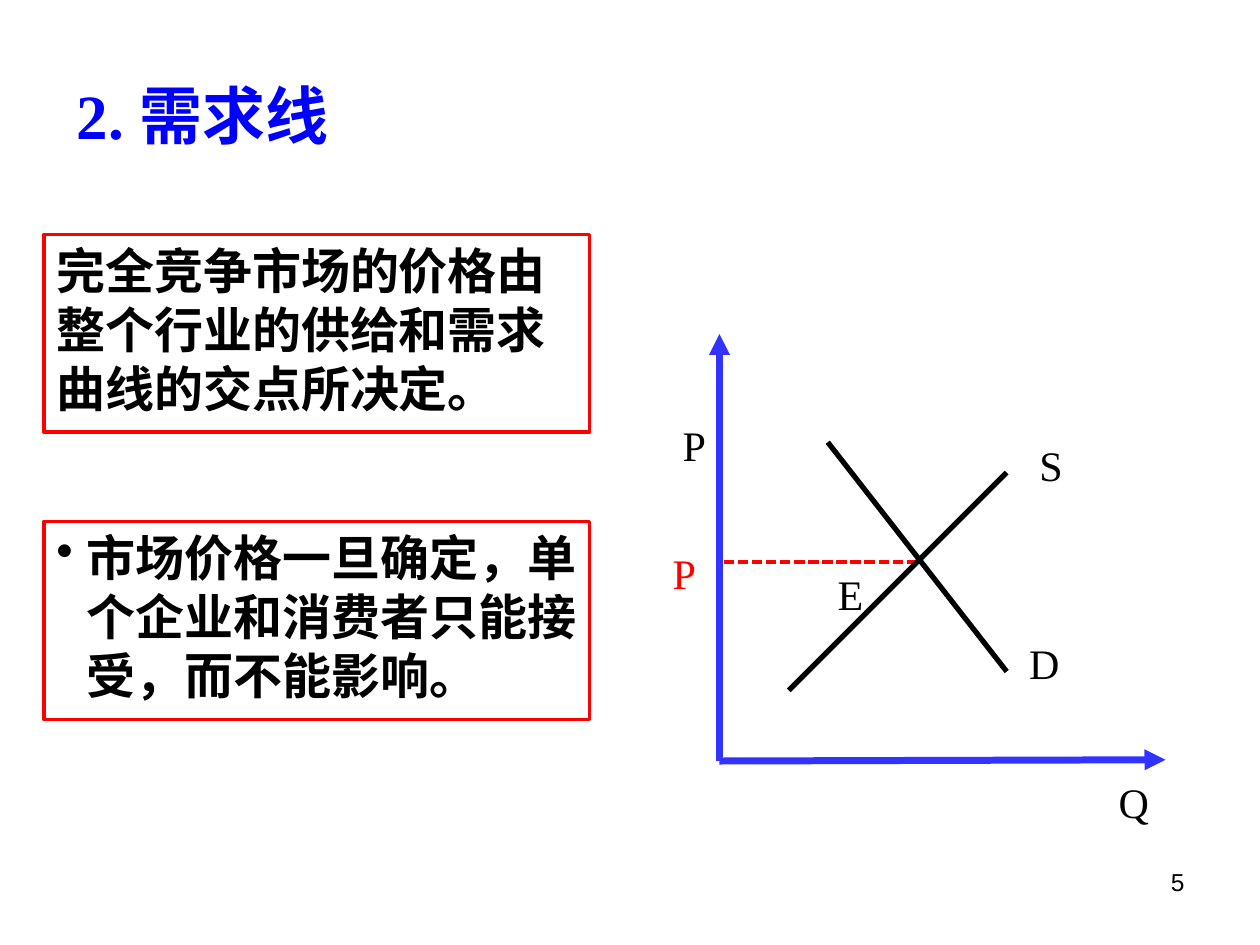
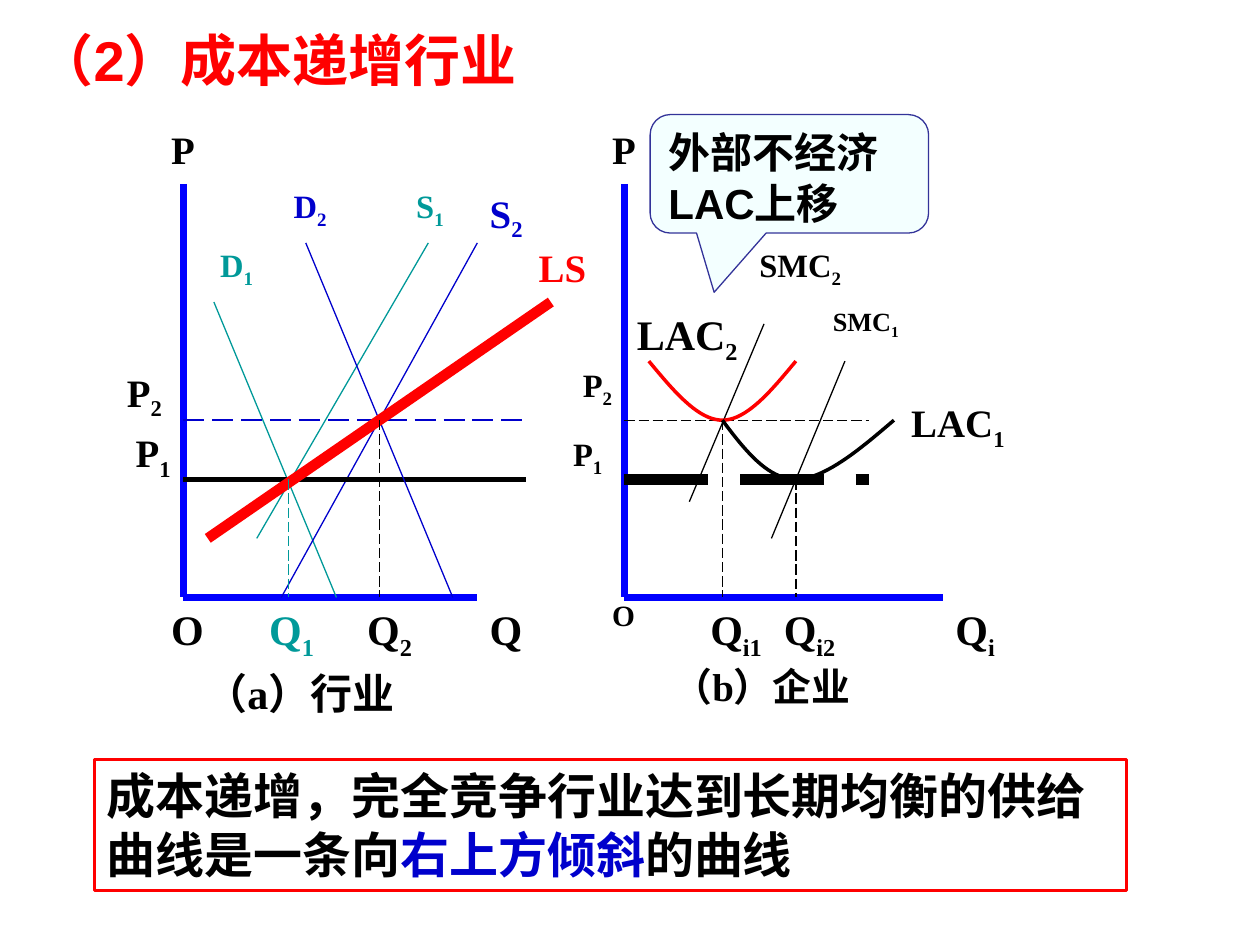
from pptx import Presentation
from pptx.dml.color import RGBColor
from pptx.enum.dml import MSO_LINE
from pptx.enum.shapes import MSO_CONNECTOR, MSO_SHAPE
from pptx.enum.text import MSO_ANCHOR, PP_ALIGN
from pptx.oxml.ns import qn
from pptx.util import Inches, Pt
from lxml.etree import SubElement

COLORS = {"black": "000000", "white": "FFFFFF", "red": "FF0000",
          "blue": "0000FF", "axis": "3333FF", "navy": "0000CC",
          "teal": "009999", "callout": "F3FFFF", "callout_line": "333399"}
SANS, SERIF = "Arial", "Times New Roman"
DOT, DASH = MSO_LINE.SQUARE_DOT, MSO_LINE.LONG_DASH
LINE_SPACING = {22.2: 0.9, 18.6: 0.8, 16.8: 0.8, 15: 0.8}

# Slide 1, in inches
DEMAND_TITLE = "2. 需求线"
PAGE_NUMBER = "5"
STATEMENTS = [
    ("完全竞争市场的价格由整个行业的供给和需求曲线的交点所决定。", False),
    ("市场价格一旦确定，单个企业和消费者只能接受，而不能影响。", True),
]
# start, end, colour, width, dash, arrow
MARKET_LINES = [
    ((5.71, 6.04), (5.71, 2.65), "axis", 4, None, True),
    ((5.71, 6.04), (9.25, 6.03), "axis", 4, None, True),
    ((7.28, 4.46), (5.71, 4.46), "red", 2, DOT, False),
    ((6.26, 5.48), (7.99, 3.75), "black", 3, None, False),
    ((7.99, 5.33), (6.57, 3.51), "black", 3, None, False),
]
MARKET_LABELS = [("P", 5.24, 4.3, "red"), ("Q", 8.78, 6.11, "black"),
                 ("D", 8.07, 5.01, "black"), ("S", 8.15, 3.44, "black"),
                 ("E", 6.55, 4.46, "black"), ("P", 5.32, 3.28, "black")]

# Slide 2, in columns and rows counted from the top left of each panel
COST_TITLE = "（2）成本递增行业"
LEFT, TOP, COL, ROW = 1.26, 0.99, 0.1945, 0.469
INDUSTRY, FIRM = 0, 18  # first column of each panel
# start, end, colour, width, dash
PANEL_LINES = {
    INDUSTRY: [
        ((1, 8), (13, 8), "blue", 4, None),
        ((1, 1), (1, 8), "blue", 4, None),
        ((2.25, 3), (7.25, 8), "teal", 0.75, None),
        ((4, 7), (11, 2), "teal", 0.75, None),
        ((5, 8), (13, 2), "navy", 0.75, None),
        ((1, 5), (15, 5), "navy", 1.5, DASH),
        ((1, 6), (15, 6), "black", 3, None),
        ((6, 2), (12, 8), "navy", 0.75, None),
        ((2, 7), (16, 3), "red", 6, None),
        ((9, 5), (9, 8), "black", 0.75, DASH),
        ((5.3, 6), (5.3, 8), "teal", 0.75, DASH),
    ],
    FIRM: [
        ((1, 8), (14, 8), "blue", 4, None),
        ((1, 1), (1, 8), "blue", 4, None),
        ((1, 6), (11, 6), "black", 6, DASH),
        ((1, 5), (11, 5), "black", 0.75, DASH),
        ((10, 4), (7, 7), "black", 0.75, None),
        ((6.7, 3.37), (3.65, 6.38), "black", 0.75, None),
        ((5, 5), (5, 8), "black", 0.75, DASH),
        ((8, 6), (8, 8), "black", 0.75, DASH),
    ],
}
# text, subscript, column, row, columns wide, rows high, size, colour
PANEL_LABELS = {
    INDUSTRY: [
        ("P", "", 0, 0, 2, 1, 22.2, "black"),
        ("O", "", 0, 8, 2, 2, 24, "black"),
        ("Q", "", 13, 8, 3.4, 1.25, 24, "black"),
        ("D", "1", 2, 2, 3, 1, 18.6, "teal"),
        ("D", "2", 5, 1, 3, 1, 18.6, "navy"),
        ("S", "1", 10, 1, 3, 1, 18.6, "teal"),
        ("S", "2", 13, 1, 3, 1.2, 22.2, "navy"),
        ("LS", "", 15, 2, 4.25, 1, 22.2, "red"),
        ("Q", "1", 4, 8, 3, 1.25, 24, "teal"),
        ("Q", "2", 8, 8, 3, 2, 24, "black"),
        ("P", "2", -1.8, 4.03, 3, 1.2, 22.2, "black"),
        ("P", "1", -1.45, 5.05, 3, 1.2, 22.2, "black"),
        ("（a）行业", "", 1.4, 9.08, 11.4, 1.2, 24, "black"),
    ],
    FIRM: [
        ("P", "", 0, 0, 2, 1, 22.2, "black"),
        ("P", "2", -1.2, 4.03, 3, 1, 18.6, "black"),
        ("P", "1", -1.6, 5.2, 3, 1, 18.6, "black"),
        ("O", "", 0, 8, 2, 1, 16.8, "black"),
        ("Q", "i", 14, 8, 3.9, 2, 24, "black"),
        ("Q", "i1", 4, 8, 3.7, 2, 24, "black"),
        ("Q", "i2", 7, 8, 4.4, 2, 24, "black"),
        ("LAC", "2", 1, 3, 5.5, 1.2, 24, "black"),
        ("LAC", "1", 12.2, 4.54, 5.7, 1.2, 22.2, "black"),
        ("SMC", "2", 6, 2, 6.2, 1, 18.6, "black"),
        ("SMC", "1", 9, 3, 6.8, 0.9, 15, "black"),
        ("（b）企业", "", 2.5, 9.08, 11.8, 1, 22.2, "black"),
    ],
}
# four Bézier points for each half of a curve, in columns and rows of the firm panel
COST_CURVES = [
    ("red", [[(2, 4), (3, 4.5), (4, 5), (5, 5)],
             [(5, 5), (6, 5), (7, 4.5), (8, 4)]]),
    ("black", [[(5, 5), (5.9, 5.5), (6.85, 6), (8, 6)],
               [(8, 6), (9.15, 6), (10.6, 5.5), (12, 5)]]),
]
CALLOUT = "外部不经济LAC上移"
CONCLUSION = [("成本递增，完全竞争行业达到长期均衡的供给曲线是一条向", "black"),
              ("右上方倾斜", "navy"), ("的曲线", "black")]


def rgb(name):
    return RGBColor.from_string(COLORS[name])


def grid(panel, point):
    col, row = point
    return LEFT + (panel + col) * COL, TOP + row * ROW


def add_run(p, text, size, color, font=SANS, bold=True, subscript=False):
    r = p.add_run()
    r.text = text
    r.font.size, r.font.name, r.font.bold = Pt(size), font, bold
    r.font.color.rgb = rgb(color)
    if subscript:
        r.font._element.set("baseline", "-25000")


def set_frame(sp, anchor=MSO_ANCHOR.TOP, align=PP_ALIGN.LEFT):
    """Wrap and place the text of a shape; return its first paragraph."""
    tf = sp.text_frame
    tf.word_wrap, tf.vertical_anchor = True, anchor
    p = tf.paragraphs[0]
    p.alignment = align
    return p


def add_text(s, box, **frame):
    return set_frame(s.shapes.add_textbox(*map(Inches, box)), **frame)


def add_title(s, box, text, size, color, font):
    add_run(add_text(s, box, anchor=MSO_ANCHOR.MIDDLE), text, size, color, font)


def add_panel(s, kind, box, fill, line, width):
    """Add an outlined shape; return it with its first paragraph."""
    sp = s.shapes.add_shape(kind, *map(Inches, box))
    sp.shadow.inherit = False
    if fill:
        sp.fill.solid()
        sp.fill.fore_color.rgb = rgb(fill)
    else:
        sp.fill.background()
    sp.line.color.rgb, sp.line.width = rgb(line), Pt(width)
    return sp, set_frame(sp)


def add_line(s, start, end, color, width, dash=None, arrow=False):
    c = s.shapes.add_connector(MSO_CONNECTOR.STRAIGHT, *map(Inches, start + end))
    c.line.color.rgb, c.line.width = rgb(color), Pt(width)
    if dash:
        c.line.dash_style = dash
    if arrow:
        SubElement(c.line._get_or_add_ln(), qn("a:tailEnd"), type="triangle")
    SubElement(c._element.spPr, qn("a:effectLst"))


def add_bullet(p, indent):
    pPr = p._p.get_or_add_pPr()
    pPr.set("marL", str(Inches(indent)))
    pPr.set("indent", str(-Inches(indent)))
    SubElement(pPr, qn("a:buChar"), char="•")


def bezier(a, b, c, d, steps=20):
    for i in range(steps + 1):
        t = i / steps
        u = 1 - t
        yield tuple(u**3 * a[k] + 3 * u * u * t * b[k] + 3 * u * t * t * c[k]
                    + t**3 * d[k] for k in (0, 1))


def add_curve(s, color, halves):
    points = [tuple(map(Inches, grid(FIRM, pt))) for half in halves for pt in bezier(*half)]
    fb = s.shapes.build_freeform(*points[0])
    fb.add_line_segments(points[1:], close=False)
    sp = fb.convert_to_shape()
    sp.shadow.inherit = False
    sp.fill.background()
    sp.line.color.rgb, sp.line.width = rgb(color), Pt(2)


def build_demand(s):
    p = add_text(s, (7.17, 6.83, 2.33, 0.52), align=PP_ALIGN.RIGHT)
    add_run(p, PAGE_NUMBER, 14, "black", bold=False)
    add_title(s, (0.51, 0.28, 9, 1.25), DEMAND_TITLE, 36, "blue", SERIF)
    for i, (text, bulleted) in enumerate(STATEMENTS):
        box = (0.35, 1.86 + 2.28 * i, 4.33, 1.57)
        _, p = add_panel(s, MSO_SHAPE.RECTANGLE, box, "white", "red", 2)
        if bulleted:
            add_bullet(p, 0.24)
        add_run(p, text, 28, "black")
    for line in MARKET_LINES:
        add_line(s, *line)
    for text, x, y, color in MARKET_LABELS:
        add_run(add_text(s, (x, y, 0.44, 0.5)), text, 24, color, SERIF, bold=False)


def build_cost(s):
    add_title(s, (0.2, 0, 9, 0.94), COST_TITLE, 32, "red", SANS)
    for panel, lines in PANEL_LINES.items():
        for start, end, *style in lines:
            add_line(s, grid(panel, start), grid(panel, end), *style)
    for curve in COST_CURVES:
        add_curve(s, *curve)
    for panel, labels in PANEL_LABELS.items():
        for text, sub, col, row, cols, rows, size, color in labels:
            p = add_text(s, (*grid(panel, (col, row)), cols * COL, rows * ROW))
            p.line_spacing = LINE_SPACING.get(size)
            add_run(p, text, size, color, SERIF)
            if sub:
                add_run(p, sub, size, color, SERIF, subscript=True)
    sp, p = add_panel(s, MSO_SHAPE.ROUNDED_RECTANGULAR_CALLOUT,
                      (5.16, 0.91, 2.21, 0.94), "callout", "callout_line", 0.75)
    for i, value in enumerate((-0.27, 1, 0.17)):
        sp.adjustments[i] = value
    add_run(p, CALLOUT, 24, "black")
    _, p = add_panel(s, MSO_SHAPE.RECTANGLE, (0.75, 6.03, 8.19, 1.04), None, "red", 2)
    for text, color in CONCLUSION:
        add_run(p, text, 28, color)


def main():
    prs = Presentation()
    prs.slide_width, prs.slide_height = Inches(10), Inches(7.5)
    for build in (build_demand, build_cost):
        build(prs.slides.add_slide(prs.slide_layouts[6]))
    prs.save("out.pptx")


if __name__ == "__main__":
    main()
